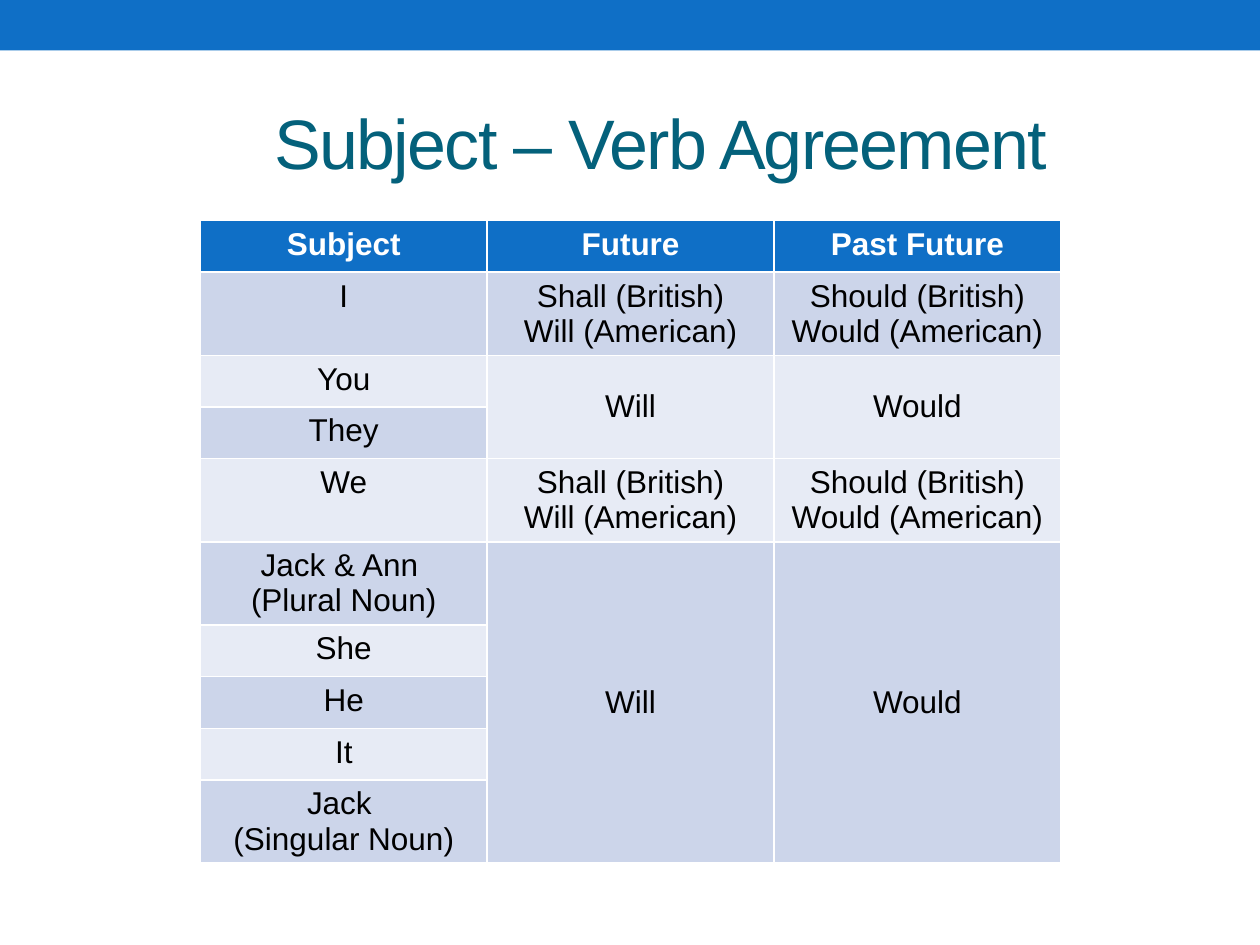
"""Build a slide with a table of future and past future auxiliaries by subject."""
from pptx import Presentation
from pptx.dml.color import RGBColor
from pptx.enum.shapes import MSO_SHAPE as Shape
from pptx.enum.text import MSO_ANCHOR as Anchor, MSO_AUTO_SIZE as AutoSize, PP_ALIGN as Align
from pptx.util import Inches, Pt

COLOURS = {
    "blue": "0F6FC6",
    "teal": "04617B",
    "white": "FFFFFF",
    "black": "000000",
    "dark band": "CCD5EA",
    "light band": "E7EBF5",
}
FONT = "Arial"
HEADINGS = ["Subject", "Future", "Past Future"]
SUBJECTS = [
    "I", "You", "They", "We", "Jack & Ann \n(Plural Noun)",
    "She", "He", "It", "Jack \n(Singular Noun)",
]
BOTH_FORMS = ["Shall (British)\nWill (American)", "Should (British)\nWould (American)"]
ONE_FORM = ["Will", "Would"]
VERB_GROUPS = [(1, 1, BOTH_FORMS), (2, 3, ONE_FORM), (4, 4, BOTH_FORMS), (5, 9, ONE_FORM)]
COLUMN_WIDTH = 6.83 / len(HEADINGS)
ROW_HEIGHTS = {1: 0.41, 2: 0.66}


def colour(name):
    return RGBColor.from_string(COLOURS[name])


def add_span(para, text, size, colour_name, bold=False):
    span = para.add_run()
    span.text = text
    span.font.name = FONT
    span.font.size = Pt(size)
    span.font.bold = bold
    span.font.color.rgb = colour(colour_name)
    return span


def add_bar(page):
    bar = page.shapes.add_shape(Shape.RECTANGLE, 0, 0, Inches(10), Inches(0.4))
    bar.shadow.inherit = False
    bar.fill.solid()
    bar.fill.fore_color.rgb = colour("blue")
    bar.line.fill.background()


def add_title(page, text):
    box = page.shapes.title
    box.left, box.top = Inches(2.08), Inches(0.58)
    box.width, box.height = Inches(7.42), Inches(1.08)
    frame = box.text_frame
    frame.auto_size = AutoSize.NONE
    frame.vertical_anchor = Anchor.MIDDLE
    para = frame.paragraphs[0]
    para.alignment = Align.LEFT
    span = add_span(para, text, 40, "teal")
    span.font._element.set("spc", "-100")


def fill_cell(cell, text, fill, text_colour="black", bold=False, anchor=Anchor.TOP):
    cell.fill.solid()
    cell.fill.fore_color.rgb = colour(fill)
    cell.vertical_anchor = anchor
    frame = cell.text_frame
    for index, line in enumerate(text.split("\n")):
        para = frame.add_paragraph() if index else frame.paragraphs[0]
        para.alignment = Align.CENTER
        add_span(para, line, 18, text_colour, bold)


def band(row):
    return "dark band" if row % 2 else "light band"


def add_verb_table(page):
    line_counts = [1] + [text.count("\n") + 1 for text in SUBJECTS]
    for first, last, forms in VERB_GROUPS:
        if first == last:
            line_counts[first] = forms[0].count("\n") + 1
    heights = [ROW_HEIGHTS[count] for count in line_counts]
    table = page.shapes.add_table(
        len(heights), len(HEADINGS), Inches(1.59), Inches(1.75),
        Inches(COLUMN_WIDTH * len(HEADINGS)), Inches(sum(heights)),
    ).table
    for column in table.columns:
        column.width = Inches(COLUMN_WIDTH)
    for row, height in zip(table.rows, heights):
        row.height = Inches(height)
    for column, heading in enumerate(HEADINGS):
        fill_cell(table.cell(0, column), heading, "blue", "white", bold=True)
    for row, subject in enumerate(SUBJECTS, 1):
        fill_cell(table.cell(row, 0), subject, band(row))
    for first, last, forms in VERB_GROUPS:
        for column, form in enumerate(forms, 1):
            cell = table.cell(first, column)
            if last > first:
                cell.merge(table.cell(last, column))
            fill_cell(cell, form, band(first), anchor=Anchor.MIDDLE)


def main():
    deck = Presentation()
    deck.slide_width, deck.slide_height = Inches(10), Inches(7.5)
    page = deck.slides.add_slide(deck.slide_layouts[5])
    add_bar(page)
    add_title(page, "Subject – Verb Agreement")
    add_verb_table(page)
    deck.save("out.pptx")


if __name__ == "__main__":
    main()
